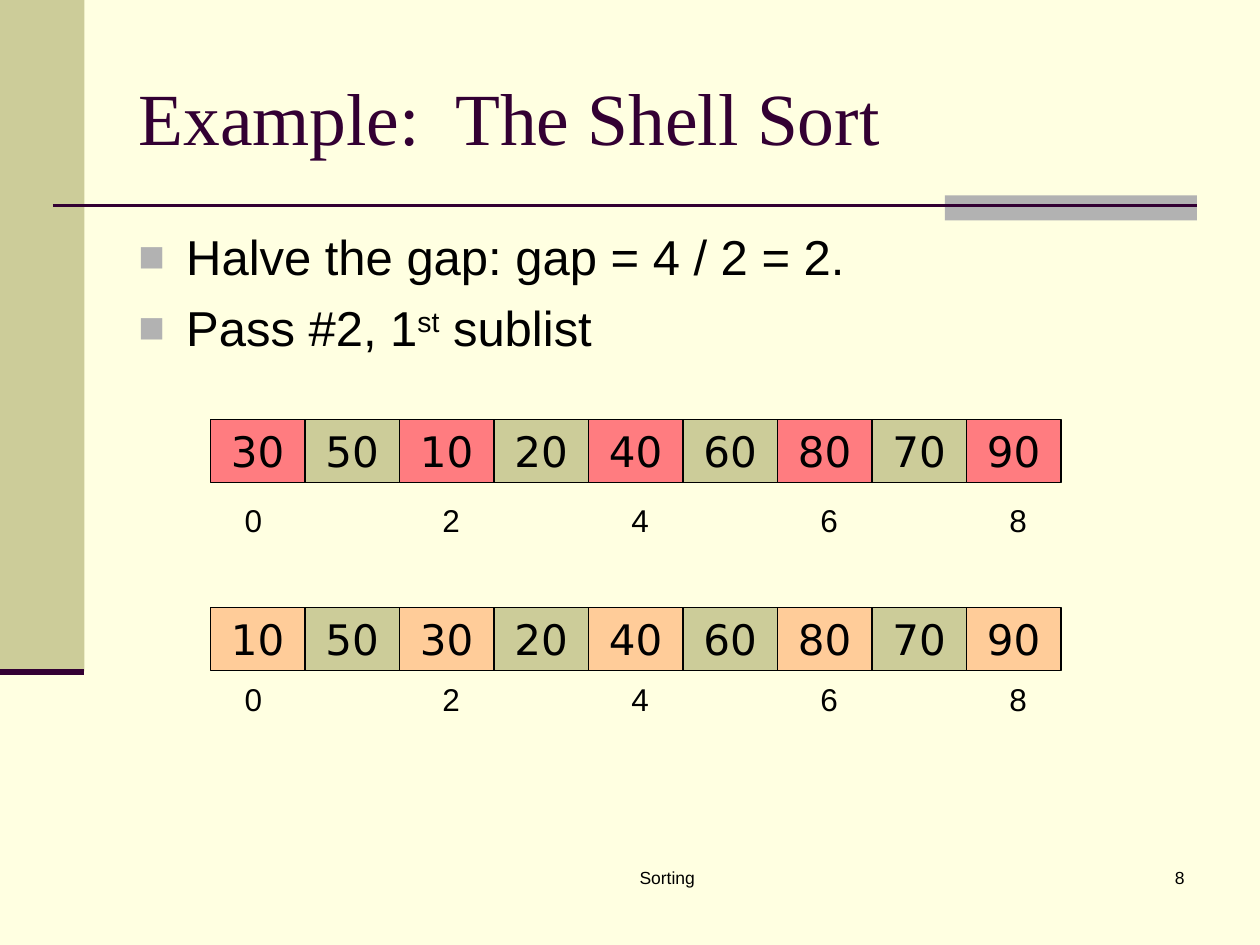
from lxml import etree
from pptx import Presentation
from pptx.dml.color import RGBColor
from pptx.enum import shapes, text
from pptx.oxml.ns import qn
from pptx.util import Inches, Pt

INK, PLUM, OLIVE, GREY = "000000", "330033", "CCCC99", "B2B2B2"
LEFT, CENTER, RIGHT = text.PP_ALIGN.LEFT, text.PP_ALIGN.CENTER, text.PP_ALIGN.RIGHT


def paint(fmt, color):
    """Give a fill or a line one solid colour."""
    fill = fmt if hasattr(fmt, "solid") else fmt.fill
    fill.solid()
    fill.fore_color.rgb = RGBColor.from_string(color)


def write(par, words, size=18, font="Arial", color=INK, align=LEFT):
    """Add a run to a paragraph and return it."""
    par.alignment = align
    run = par.add_run()
    run.text = words
    run.font.size, run.font.name = Pt(size), font
    run.font.color.rgb = RGBColor.from_string(color)
    return run


prs = Presentation()
prs.slide_width, prs.slide_height = Inches(10), Inches(7.5)
slide = prs.slides.add_slide(prs.slide_layouts[5])
paint(slide.background.fill, "FFFFE1")
items = slide.shapes

# Side band, grey bar and rules
for x, y, w, h, color in [(0, 0, 0.67, 5.33, OLIVE), (7.5, 1.55, 2, 0.2, GREY)]:
    bar = items.add_shape(shapes.MSO_SHAPE.RECTANGLE,
                          Inches(x), Inches(y), Inches(w), Inches(h))
    bar.shadow.inherit = False
    paint(bar.fill, color)
    bar.line.fill.background()

for start, end, y, width in [(0.42, 9.5, 1.63, 1.5), (0, 0.67, 5.33, 3.5)]:
    rule = items.add_connector(shapes.MSO_CONNECTOR.STRAIGHT,
                               Inches(start), Inches(y), Inches(end), Inches(y))
    paint(rule.line, PLUM)
    rule.line.width = Pt(width)
    etree.SubElement(rule._element.spPr, qn("a:effectLst"))

# Footer and slide number
for x, w, words, align in [(3.67, 3.25, "Sorting", CENTER), (7.42, 2.08, "8", RIGHT)]:
    foot = items.add_textbox(Inches(x), Inches(6.83), Inches(w), Inches(0.5))
    foot.text_frame.word_wrap = True
    write(foot.text_frame.paragraphs[0], words, size=10, align=align)

# Title
title = items.title
title.left, title.top = Inches(1), Inches(0.3)
title.width, title.height = Inches(8.5), Inches(1.25)
title.text_frame.auto_size = text.MSO_AUTO_SIZE.NONE
title.text_frame.vertical_anchor = text.MSO_ANCHOR.MIDDLE
write(title.text_frame.paragraphs[0], "Example:  The Shell Sort",
      size=42, font="Times New Roman", color=PLUM)

# Bullets: each is a list of (words, baseline shift in thousandths of a percent)
bullets = [
    [("Halve the gap: gap = 4 / 2 = 2.", 0)],
    [("Pass #2, 1", 0), ("st", 30000), (" sublist", 0)],
]
body = items.add_textbox(Inches(1), Inches(1.75), Inches(8.5), Inches(4.95)).text_frame
body.word_wrap = True
for i, parts in enumerate(bullets):
    par = body.add_paragraph() if i else body.paragraphs[0]
    par.space_before = Pt(7)
    for words, shift in parts:
        run = write(par, words, size=28)
        if shift:
            run.font._element.set("baseline", str(shift))
    props = par._p.get_or_add_pPr()
    props.set("marL", str(Inches(0.38)))
    props.set("indent", str(-Inches(0.38)))
    tint = etree.SubElement(props, qn("a:buClr"))
    etree.SubElement(tint, qn("a:srgbClr"), val=GREY)
    etree.SubElement(props, qn("a:buSzPct"), val="90000")
    etree.SubElement(props, qn("a:buFont"), typeface="Arial")
    etree.SubElement(props, qn("a:buChar"), char="■")

# Arrays before and after the pass; the sublist is every second cell
CELL, ORIGIN = 0.75, 1.67
arrays = [
    (3.33, 3.93, "FF7C80", [30, 50, 10, 20, 40, 60, 80, 70, 90]),
    (4.82, 5.35, "FFCC99", [10, 50, 30, 20, 40, 60, 80, 70, 90]),
]
for top, below, accent, values in arrays:
    sublist = range(0, len(values), 2)
    others = range(1, len(values), 2)
    for i in [*others, *sublist]:
        cell = items.add_shape(shapes.MSO_SHAPE.RECTANGLE, Inches(ORIGIN + i * CELL),
                               Inches(top), Inches(CELL), Inches(0.5))
        cell.shadow.inherit = False
        paint(cell.fill, accent if i in sublist else OLIVE)
        paint(cell.line, INK)
        cell.line.width = Pt(0.75)
        cell.text_frame.vertical_anchor = text.MSO_ANCHOR.MIDDLE
        write(cell.text_frame.paragraphs[0], str(values[i]),
              size=24, font="DejaVu Sans", align=CENTER)
    for i in sublist:
        inset = 0.24 if i else 0.17
        label = items.add_textbox(Inches(ORIGIN + i * CELL + inset), Inches(below),
                                  Inches(0.34), Inches(0.4))
        label.text_frame.word_wrap = False
        write(label.text_frame.paragraphs[0], str(i), align=CENTER)

prs.save("out.pptx")
